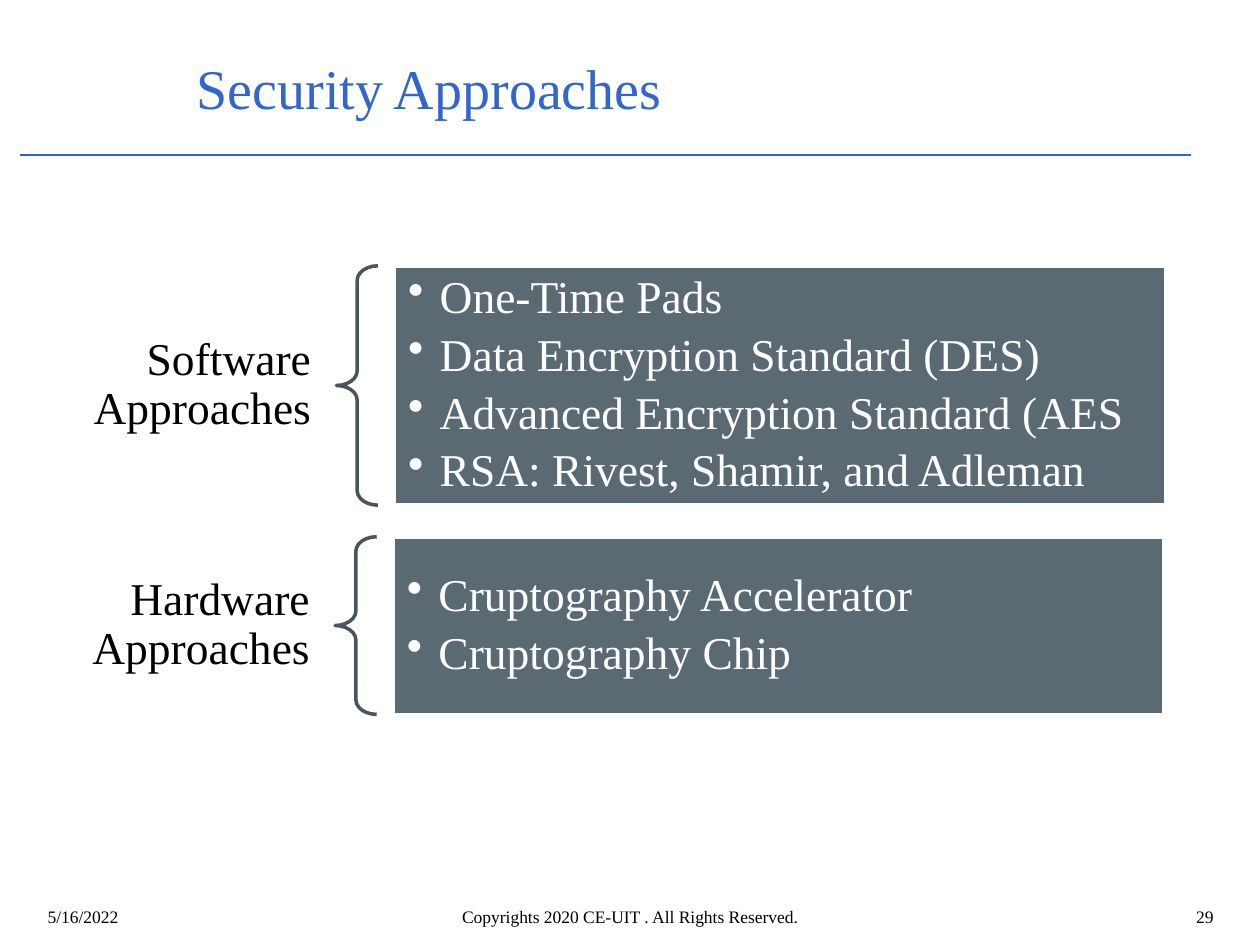
from lxml.etree import SubElement
from pptx import Presentation
from pptx.dml.color import RGBColor
from pptx.enum.shapes import MSO_CONNECTOR, MSO_SHAPE as Shape
from pptx.enum.text import MSO_ANCHOR as Anchor, MSO_AUTO_SIZE, PP_ALIGN as Align
from pptx.oxml.ns import qn
from pptx.util import Inches, Pt

FONT = "Times New Roman"
COLORS = {"accent": "3366CC", "text": "000000", "panel": "5B6973",
          "brace": "49545C", "white": "FFFFFF"}
WIDTH, HEIGHT = 10, 7.5

# Columns of a category row, measured from its left edge: offset and width
LABEL, BRACE, PANEL = (0, 2.17), (2.17, 0.33), (2.63, 6.12)
LABEL_HEIGHT = 1.41
FOOTER_TOP, FOOTER_HEIGHT = 7.14, 0.32

# Left, top and height of each row, then its label and items
CATEGORIES = [
    (0.5, 2.11, 1.9, "Software Approaches",
     ["One-Time Pads", "Data Encryption Standard (DES)",
      "Advanced Encryption Standard (AES", "RSA: Rivest, Shamir, and Adleman"]),
    (0.49, 4.26, 1.41, "Hardware Approaches",
     ["Cruptography Accelerator", "Cruptography Chip"]),
]
FOOTERS = [
    (0.28, 2.33, "5/16/2022", Align.LEFT),
    (1.93, 6.14, "Copyrights 2020 CE-UIT . All Rights Reserved.", Align.CENTER),
    (7.81, 1.92, "29", Align.RIGHT),
]


def color(name):
    return RGBColor.from_string(COLORS[name])


def set_frame(frame, anchor, side=0.1, top=0.05):
    frame.word_wrap = True
    frame.auto_size = MSO_AUTO_SIZE.NONE
    frame.vertical_anchor = anchor
    frame.margin_left = frame.margin_right = Inches(side)
    frame.margin_top = frame.margin_bottom = Inches(top)


def add_span(para, text, size, color_name, align=Align.LEFT):
    para.alignment = align
    span = para.add_run()
    span.text = text
    span.font.name = FONT
    span.font.size = Pt(size)
    span.font.color.rgb = color(color_name)


def add_bullet(para):
    props = para._p.get_or_add_pPr()
    props.set("marL", str(Inches(0.25)))
    props.set("indent", str(-Inches(0.25)))
    SubElement(props, qn("a:buChar"), char="•")


def add_title(page, text):
    title = page.shapes.title
    title.left, title.top = Inches(1.46), Inches(0.31)
    title.width, title.height = Inches(8.04), Inches(0.76)
    set_frame(title.text_frame, Anchor.MIDDLE)
    add_span(title.text_frame.paragraphs[0], text, 32, "accent")


def add_rule(page, left, right, top):
    rule = page.shapes.add_connector(
        MSO_CONNECTOR.STRAIGHT, Inches(left), Inches(top), Inches(right), Inches(top))
    rule.line.color.rgb = color("accent")
    rule.line.width = Pt(0.75)
    SubElement(rule._element.spPr, qn("a:effectLst"))


def add_text(page, left, top, width, height):
    return page.shapes.add_textbox(
        Inches(left), Inches(top), Inches(width), Inches(height)).text_frame


def add_outlined(page, kind, left, top, width, height, line_color):
    shape = page.shapes.add_shape(
        kind, Inches(left), Inches(top), Inches(width), Inches(height))
    shape.shadow.inherit = False
    shape.line.color.rgb = color(line_color)
    shape.line.width = Pt(2)
    return shape


def add_label(page, left, middle, text):
    frame = add_text(page, left + LABEL[0], middle - LABEL_HEIGHT / 2,
                     LABEL[1], LABEL_HEIGHT)
    set_frame(frame, Anchor.MIDDLE, 0.2, 0.07)
    para = frame.paragraphs[0]
    para.line_spacing = 0.9
    add_span(para, text, 26, "text", Align.RIGHT)


def add_brace(page, left, top, height):
    brace = add_outlined(page, Shape.LEFT_BRACE, left + BRACE[0], top,
                         BRACE[1], height, "brace")
    brace.fill.background()
    brace.adjustments[0] = 0.35
    brace.adjustments[1] = 0.5


def add_panel(page, left, top, height, items):
    panel = add_outlined(page, Shape.RECTANGLE, left + PANEL[0], top,
                         PANEL[1], height, "white")
    panel.fill.solid()
    panel.fill.fore_color.rgb = color("panel")
    frame = panel.text_frame
    set_frame(frame, Anchor.MIDDLE, 0.11, 0.11)
    for index, item in enumerate(items):
        para = frame.add_paragraph() if index else frame.paragraphs[0]
        add_bullet(para)
        para.line_spacing = 0.9
        para.space_after = Pt(5)
        add_span(para, item, 26, "white")


def add_footer(page, left, width, text, align):
    frame = add_text(page, left, FOOTER_TOP, width, FOOTER_HEIGHT)
    set_frame(frame, Anchor.TOP)
    add_span(frame.paragraphs[0], text, 10, "text", align)


def main():
    deck = Presentation()
    deck.slide_width, deck.slide_height = Inches(WIDTH), Inches(HEIGHT)
    page = deck.slides.add_slide(deck.slide_layouts[5])

    # Heading
    add_rule(page, 0.16, 9.45, 1.23)
    add_title(page, "Security Approaches")

    # Categories with their braces and panels
    for left, top, height, label, items in CATEGORIES:
        add_label(page, left, top + height / 2, label)
        add_brace(page, left, top, height)
        add_panel(page, left, top, height, items)

    # Footer
    for footer in FOOTERS:
        add_footer(page, *footer)

    deck.save("out.pptx")


if __name__ == "__main__":
    main()
